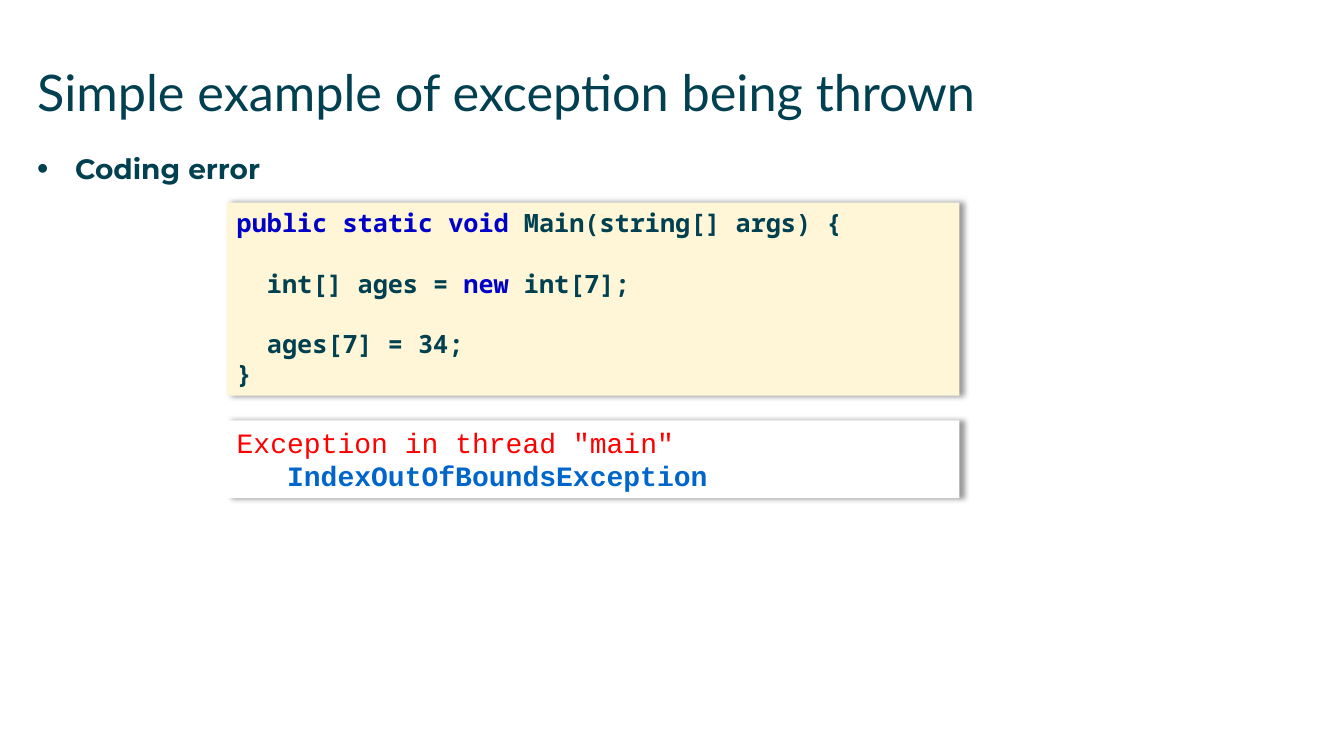
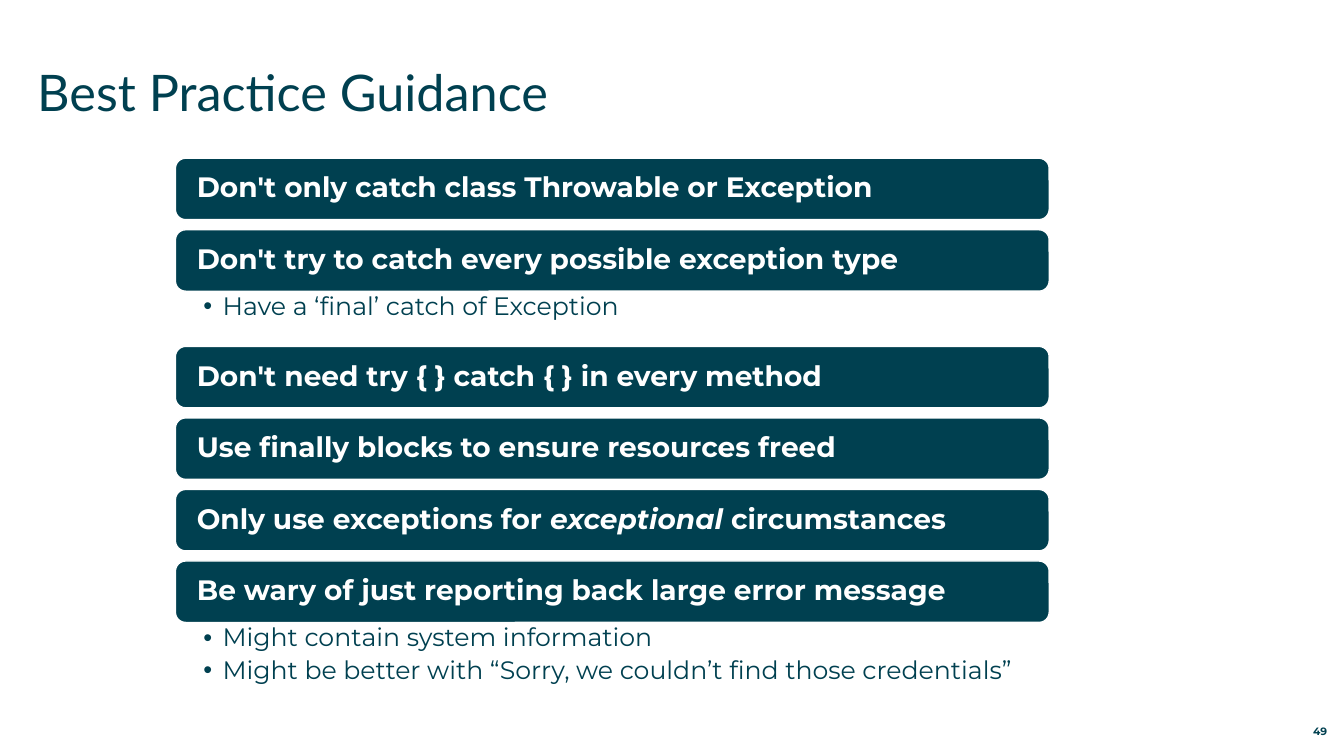
from lxml import etree
from pptx import Presentation
from pptx.dml.color import RGBColor
from pptx.enum.shapes import MSO_SHAPE as SHAPE
from pptx.enum.text import MSO_ANCHOR as ANCHOR, PP_ALIGN as ALIGN
from pptx.oxml.ns import qn
from pptx.util import Pt

# Shared style
TEAL, WHITE, CREAM = "004050", "FFFFFF", "FEF6D7"
KEYWORD, RED, BLUE = "0000C8", "FF0000", "0066CC"
HEAD, BODY, MONO, CONSOLE = "Lato", "Montserrat", "Noto Sans Mono", "Courier New"
LEFT = 26.6

# Code panels
PANEL_X, PANEL_W = 162, 523.4
CODE_LINE, CODE_INDENT = 21.6, 21.6

# Guidance list
BAR_X, BAR_W, BAR_H, BAR_GAP = 125.3, 624.2, 43.9, 7.2
GUIDANCE = [  # (bar runs, height of the bullets below, bullets)
    ([("Don't only catch class Throwable or Exception", {})], 0, []),
    ([("Don't try to catch every possible exception type", {})], 39.4,
     ["Have a ‘final’ catch of Exception"]),
    ([("Don't need try { } catch { } in every method", {})], 0, []),
    ([("Use finally blocks to ensure resources freed", {})], 0, []),
    ([("Only use exceptions for ", {}), ("exceptional ", {"italic": True}),
      ("circumstances", {})], 0, []),
    ([("Be wary of just reporting back large error message", {})], 47.5,
     ["Might contain system information",
      "Might be better with “Sorry, we couldn’t find those credentials”"]),
]


def rgb(value):
    return RGBColor.from_string(value)


def set_frame(sp, insets=(0, 0, 0, 0), anchor=ANCHOR.TOP):
    tf = sp.text_frame
    tf.word_wrap = True
    tf.vertical_anchor = anchor
    tf.margin_left, tf.margin_top, tf.margin_right, tf.margin_bottom = map(Pt, insets)
    return tf


def add_text(slide, x, y, w, h, **frame):
    return set_frame(slide.shapes.add_textbox(Pt(x), Pt(y), Pt(w), Pt(h)), **frame)


def add_box(slide, kind, x, y, w, h, fill):
    sp = slide.shapes.add_shape(kind, Pt(x), Pt(y), Pt(w), Pt(h))
    sp.shadow.inherit = False
    sp.fill.solid()
    sp.fill.fore_color.rgb = rgb(fill)
    sp.line.fill.background()
    return sp


def add_para(tf, runs, font, size, color=TEAL, bold=False, align=ALIGN.LEFT,
             before=0, after=0, spacing=1.0, indent=0):
    """Fill the first empty paragraph, or append one; runs are (text, overrides)."""
    p = tf.paragraphs[0]
    if p.runs:
        p = tf.add_paragraph()
    p.alignment = align
    p.space_before, p.space_after, p.line_spacing = Pt(before), Pt(after), spacing
    p._p.get_or_add_pPr().set("marL", str(Pt(indent)))
    for text, over in runs:
        r = p.add_run()
        r.text = text
        r.font.name, r.font.size = font, Pt(size)
        r.font.color.rgb = rgb(over.get("color", color))
        r.font.bold = over.get("bold", bold)
        r.font.italic = over.get("italic", False)
    return p


def add_bullet(p, hang, percent=100):
    pPr = p._p.get_or_add_pPr()
    pPr.set("indent", str(-Pt(hang)))
    for tag, key, value in (("a:buSzPct", "val", str(percent * 1000)),
                            ("a:buFont", "typeface", "Arial"),
                            ("a:buChar", "char", "•")):
        etree.SubElement(pPr, qn(tag)).set(key, value)


def add_shadow(sp, blur=4, dist=3, alpha=40):
    effects = sp._element.spPr.find(qn("a:effectLst"))
    shadow = etree.SubElement(effects, qn("a:outerShdw"), blurRad=str(Pt(blur)),
                              dist=str(Pt(dist)), dir="0", rotWithShape="0")
    color = etree.SubElement(shadow, qn("a:srgbClr"), val="000000")
    etree.SubElement(color, qn("a:alpha"), val=str(alpha * 1000))


def add_slide(prs, title):
    slide = prs.slides.add_slide(prs.slide_layouts[6])
    tf = add_text(slide, LEFT, 44, 907, 63)
    add_para(tf, [(title, {})], HEAD, 36)
    return slide


def add_panel(slide, y, h, fill):
    sp = add_box(slide, SHAPE.RECTANGLE, PANEL_X, y, PANEL_W, h, fill)
    add_shadow(sp)
    return set_frame(sp, insets=(7.2, 3.6, 7.2, 3.6))


def add_bar(slide, y, runs):
    sp = add_box(slide, SHAPE.ROUNDED_RECTANGLE, BAR_X, y, BAR_W, BAR_H, TEAL)
    sp.line.color.rgb = rgb(WHITE)
    sp.line.width = Pt(1)
    tf = set_frame(sp, insets=(13.2, 6, 6, 6), anchor=ANCHOR.MIDDLE)
    add_para(tf, runs, BODY, 20, WHITE, bold=True, spacing=0.9)


def build_example(prs):
    slide = add_slide(prs, "Simple example of exception being thrown")
    tf = add_text(slide, LEFT, 108, 623.5, 30)
    p = add_para(tf, [("Coding error", {})], BODY, 20, bold=True, indent=27)
    add_bullet(p, 27, percent=115)

    # Code
    keyword = {"color": KEYWORD}
    tf = add_panel(slide, 144.7, 138, CREAM)
    for runs, before, indent in (
            ([("public static void ", keyword), ("Main(string[] args) {", {})], 0, 0),
            ([("int[] ages = ", {}), ("new", keyword), (" int[7];", {})],
             CODE_LINE, CODE_INDENT),
            ([("ages[7] = 34;", {})], CODE_LINE, CODE_INDENT),
            ([("}", {})], 0, 0)):
        add_para(tf, runs, MONO, 18, bold=True, before=before, indent=indent)

    # Console output
    tf = add_panel(slide, 300.2, 55.6, WHITE)
    add_para(tf, [('Exception in thread "main"', {})], CONSOLE, 20, RED)
    add_para(tf, [("IndexOutOfBoundsException", {})], CONSOLE, 20, BLUE,
             bold=True, indent=36)


def build_guidance(prs):
    slide = add_slide(prs, "Best Practice Guidance")
    y = 113
    for runs, bullets_h, bullets in GUIDANCE:
        add_bar(slide, y, runs)
        y += BAR_H
        if bullets:
            tf = add_text(slide, BAR_X, y, BAR_W, bullets_h, insets=(20, 2, 10, 2))
            for text in bullets:
                p = add_para(tf, [(text, {})], BODY, 18, after=3.6,
                             spacing=0.9, indent=13.7)
                add_bullet(p, 13.7)
        y += bullets_h or BAR_GAP

    # Slide number
    tf = add_text(slide, 886, 512.6, 62, 14.4, anchor=ANCHOR.BOTTOM)
    add_para(tf, [("49", {})], BODY, 7.6, bold=True, align=ALIGN.RIGHT)


def main():
    prs = Presentation()
    prs.slide_width, prs.slide_height = Pt(960), Pt(540)
    build_example(prs)
    build_guidance(prs)
    prs.save("out.pptx")


if __name__ == "__main__":
    main()
